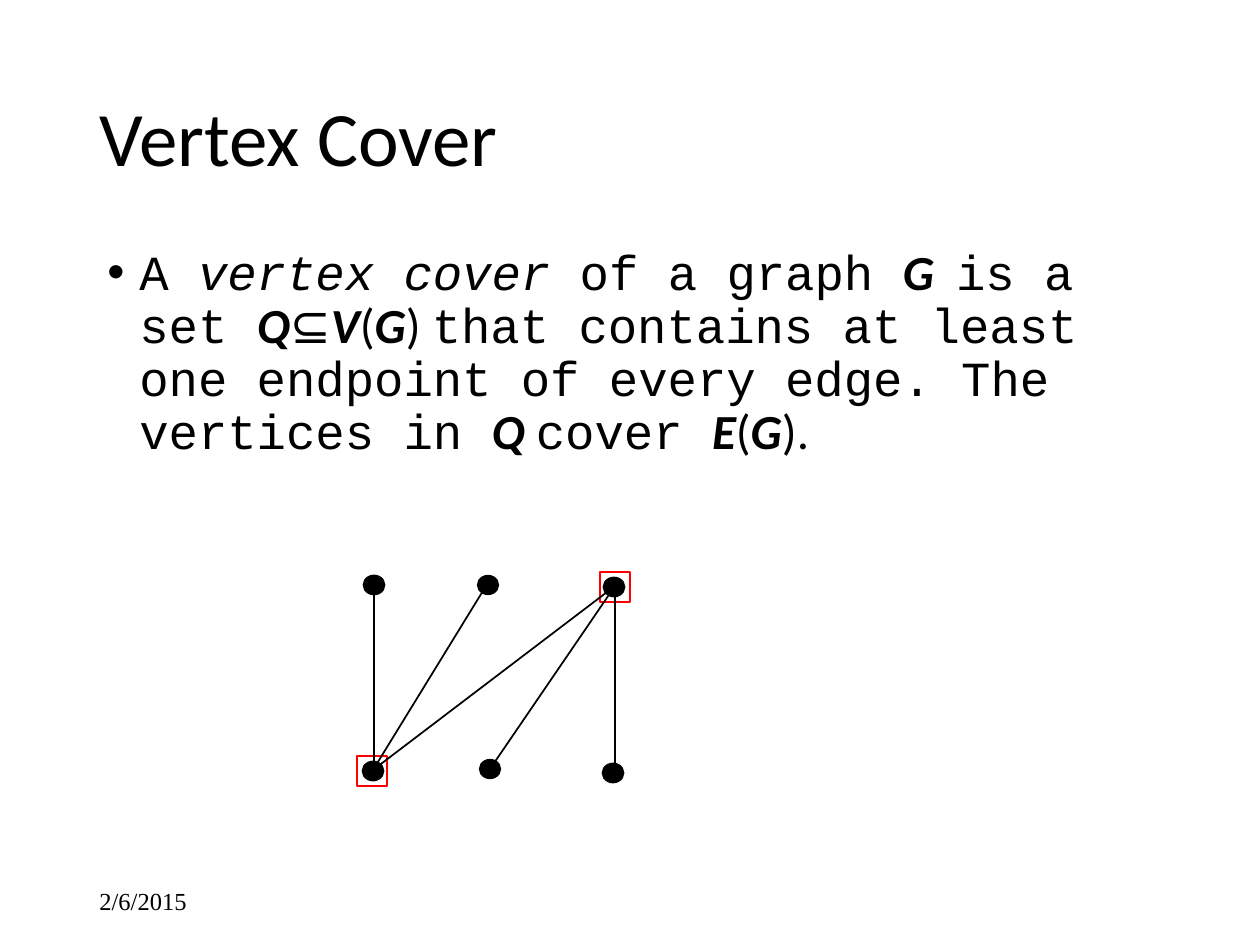
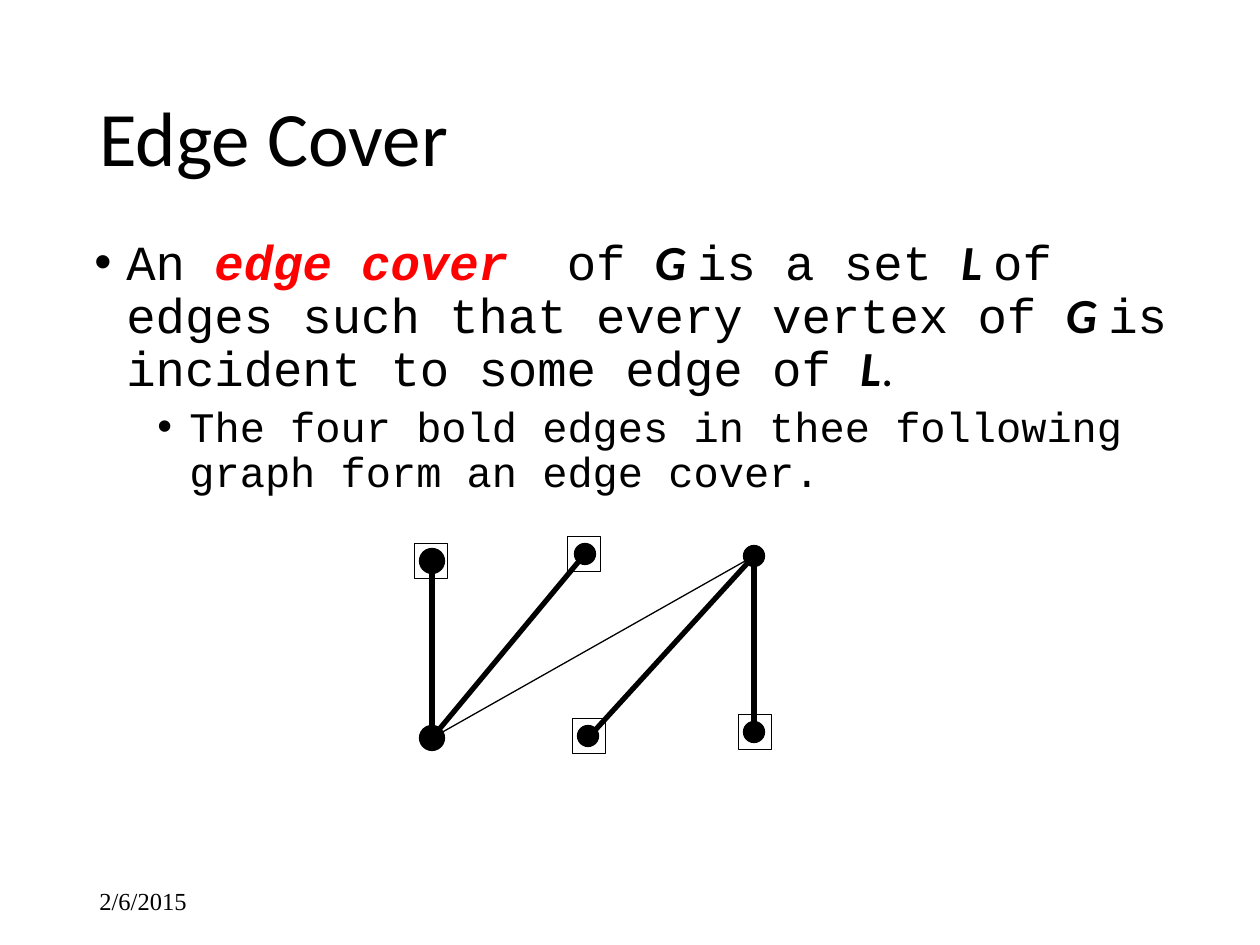
from dataclasses import dataclass
from lxml import etree
from pptx import Presentation
from pptx import util as u
from pptx.dml.color import RGBColor
from pptx.enum import shapes, text
from pptx.oxml.ns import qn


@dataclass(frozen=True)
class Theme:
    ink: str = "000000"
    red: str = "FF0000"
    sans: str = "Calibri"
    mono: str = "Courier New"
    serif: str = "Times New Roman"
    title: int = 44
    body: int = 28
    sub: int = 24
    date: int = 14


T = Theme()
PX = 914400 / 126
STYLES = {
    "sans": (T.sans, False, False, T.ink),
    "math": (T.sans, True, True, T.ink),
    "mono": (T.mono, False, False, T.ink),
    "slant": (T.mono, False, True, T.ink),
    "key": (T.mono, True, True, T.red),
    "serif": (T.serif, False, False, T.ink),
}


def px(*nums):
    return [u.Emu(round(n * PX)) for n in nums]


def write(frame, runs, size, indent=None, before=0, lead=0.9):
    para = frame.paragraphs[0]
    if para.runs:
        para = frame.add_paragraph()
    if indent is not None:
        props = para._p.get_or_add_pPr()
        left, hang = px(indent, -32)
        props.set("marL", str(left))
        props.set("indent", str(hang))
        etree.SubElement(props, qn("a:buFont")).set("typeface", "Arial")
        etree.SubElement(props, qn("a:buChar")).set("char", "•")
    para.line_spacing = lead
    para.space_before = u.Pt(before)
    for style, words in runs:
        run = para.add_run()
        run.text = words
        font = run.font
        font.size = u.Pt(size)
        font.name, font.bold, font.italic, color = STYLES[style]
        font.color.rgb = RGBColor.from_string(color)


slides = [
    dict(
        title="Vertex Cover",
        body=(95, 242, 1071, 630),
        paras=[
            (T.body, 32, 0, [
                ("mono", "A "), ("slant", "vertex cover"),
                ("mono", " of a graph "), ("math", "G  "),
                ("mono", "is a set "), ("math", "Q"), ("sans", "⊆"),
                ("math", "V"), ("sans", "("), ("math", "G"), ("sans", ") "),
                ("mono", "that contains at least one endpoint of every edge. "
                         "The vertices in "),
                ("math", "Q "), ("mono", "cover "), ("math", "E"),
                ("sans", "("), ("math", "G"), ("sans", ")."),
            ]),
        ],
        dot=(21, 19),
        dots=[(488, 585, 0.75), (490, 769, 0.75), (374, 585, 1),
              (373, 771, 1), (614, 587, 1), (613, 773, 1)],
        mark=(30, 30, T.red, 1.5),
        marks=[(372, 771), (615, 587)],
        edges=[(374, 590, 374, 765, 1), (615, 591, 615, 766, 1),
               (486, 586, 373, 770, 1), (373, 770, 615, 586, 1),
               (615, 586, 490, 769, 1)],
    ),
    dict(
        title="Edge Cover",
        body=(82, 232, 1102, 222),
        paras=[
            (T.body, 32, 0, [
                ("mono", "An "), ("key", "edge cover  "), ("mono", "of "),
                ("math", "G "), ("mono", "is a set "), ("math", "L "),
                ("mono", "of edges such that every vertex of "),
                ("math", "G "), ("mono", "is incident to some edge of "),
                ("math", "L"), ("sans", "."),
            ]),
            (T.sub, 95, 5, [
                ("mono", "The four bold edges in thee following graph "
                         "form an edge cover."),
            ]),
        ],
        dot=(21, 21),
        dots=[(432, 561, 3), (432, 738, 3), (754, 556, 0.75),
              (754, 732, 0.75), (585, 554, 0.75), (588, 736, 0.75)],
        mark=(33, 35, T.ink, 0.75),
        marks=[(431, 561), (584, 554), (589, 736), (755, 732)],
        edges=[(432, 561, 432, 738, 3), (754, 556, 754, 732, 3),
               (585, 554, 432, 738, 3), (432, 738, 754, 556, 0.75),
               (754, 556, 588, 738, 3)],
    ),
]

deck = Presentation()
deck.slide_width, deck.slide_height = px(1260, 945)

for item in slides:
    page = deck.slides.add_slide(deck.slide_layouts[6])
    mid, top = text.MSO_ANCHOR.MIDDLE, text.MSO_ANCHOR.TOP
    date = (T.date, None, 0, [("serif", "2/6/2015")])
    head = (T.title, None, 0, [("sans", item["title"])])
    for place, anchor, paras, lead in [
        ((87, 876, 284, 50), mid, [date], 1.0),
        ((87, 50, 1086, 183), mid, [head], 0.9),
        (item["body"], top, item["paras"], 0.9),
    ]:
        frame = page.shapes.add_textbox(*px(*place)).text_frame
        frame.word_wrap = True
        frame.vertical_anchor = anchor
        for size, indent, before, runs in paras:
            write(frame, runs, size, indent=indent, before=before, lead=lead)

    wide, high, color, thick = item["mark"]
    oval, rect = shapes.MSO_SHAPE.OVAL, shapes.MSO_SHAPE.RECTANGLE
    nodes = [(oval, x, y, *item["dot"], T.ink, line)
             for x, y, line in item["dots"]]
    nodes += [(rect, x, y, wide, high, color, thick)
              for x, y in item["marks"]]
    for kind, x, y, w, h, tint, line in nodes:
        node = page.shapes.add_shape(kind, *px(x - w / 2, y - h / 2, w, h))
        node.shadow.inherit = False
        if kind == oval:
            node.fill.solid()
            node.fill.fore_color.rgb = RGBColor.from_string(tint)
        else:
            node.fill.background()
        node.line.color.rgb = RGBColor.from_string(tint)
        node.line.width = u.Pt(line)

    for *ends, line in item["edges"]:
        edge = page.shapes.add_connector(
            shapes.MSO_CONNECTOR.STRAIGHT, *px(*ends))
        edge.line.color.rgb = RGBColor.from_string(T.ink)
        edge.line.width = u.Pt(line)
        etree.SubElement(edge._element.spPr, qn("a:effectLst"))

deck.save("out.pptx")
